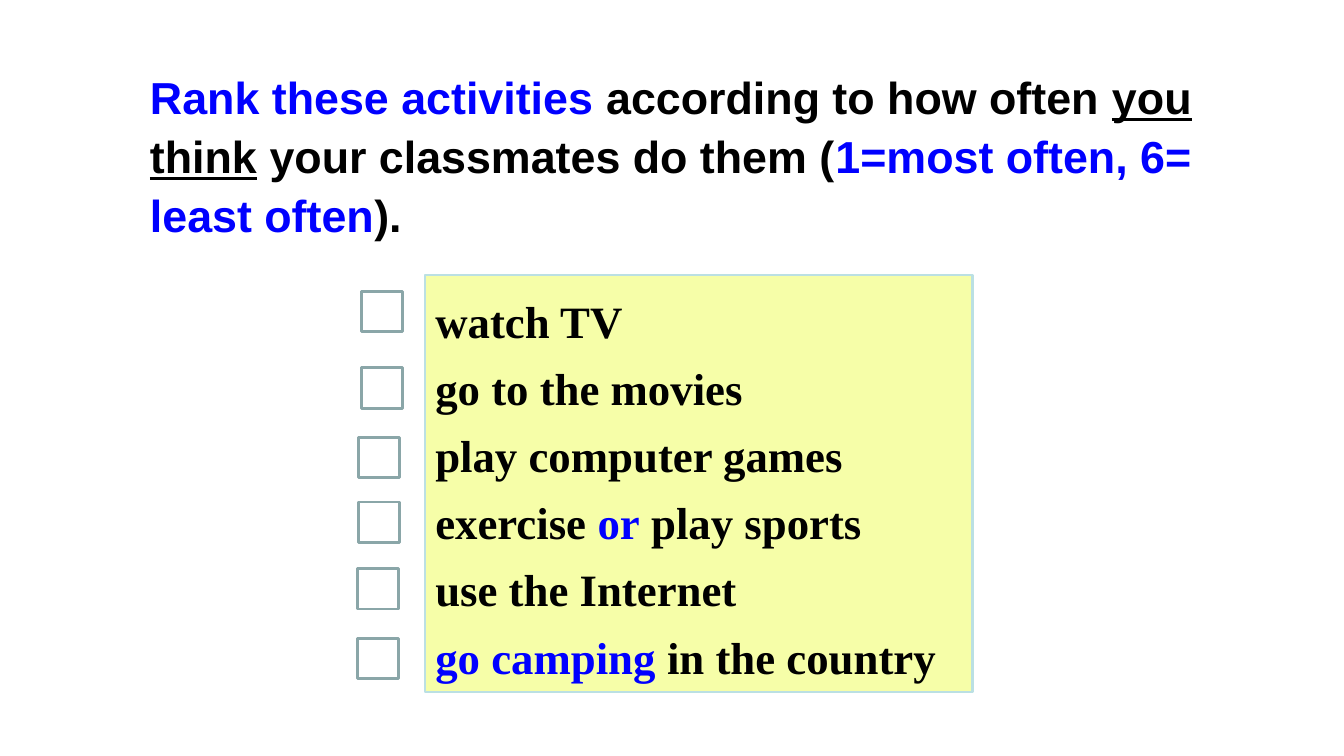
import pptx
import pptx.util
import pptx.dml.color
import pptx.enum.shapes
import pptx.enum.text

Cm = pptx.util.Cm
Pt = pptx.util.Pt
RGBColor = pptx.dml.color.RGBColor

BLACK = RGBColor(0x00, 0x00, 0x00)
BLUE = RGBColor(0x00, 0x00, 0xFF)
PALE_YELLOW = RGBColor(0xF6, 0xFE, 0xA8)
PALE_TEAL = RGBColor(0xBB, 0xE0, 0xE3)
GREY_TEAL = RGBColor(0x8A, 0xA6, 0xA8)

INSTRUCTION = [[
    ("Rank these activities", BLUE, False),
    (" according to how often ", BLACK, False),
    ("you think", BLACK, True),
    (" your classmates do them (", BLACK, False),
    ("1=most often, 6= least often", BLUE, False),
    (").", BLACK, False),
]]
ACTIVITIES = [
    [("watch TV", BLACK, False)],
    [("go to the movies", BLACK, False)],
    [("play computer games", BLACK, False)],
    [("exercise ", BLACK, False), ("or", BLUE, False), (" play sports", BLACK, False)],
    [("use the Internet", BLACK, False)],
    [("go camping", BLUE, False), (" in the country", BLACK, False)],
]
CHECKBOX_CORNERS = [
    (9.12, 7.34), (9.12, 9.27), (9.04, 11.02),
    (9.04, 12.65), (9.02, 14.33), (9.02, 16.08),
]
CHECKBOX_SIZE = 1.02


class SlideBuilder:
    def __init__(self, page):
        self.page = page
        self.text_format = {"size": Pt(32), "bold": True}

    def add_text(self, box, paragraphs, font_name, line_spacing):
        """Fill a box with paragraphs of (text, colour, underline) spans."""
        frame = box.text_frame
        frame.word_wrap = True
        frame.vertical_anchor = pptx.enum.text.MSO_ANCHOR.TOP
        for index, spans in enumerate(paragraphs):
            para = frame.add_paragraph() if index else frame.paragraphs[0]
            para.alignment = pptx.enum.text.PP_ALIGN.LEFT
            para.line_spacing = line_spacing
            for text, color, underline in spans:
                span = para.add_run()
                span.text = text
                span.font.color.rgb = color
                values = {**self.text_format, "name": font_name, "underline": underline}
                for name, value in values.items():
                    setattr(span.font, name, value)

    def text_box(self, left, top, width, height):
        return self.page.shapes.add_textbox(Cm(left), Cm(top), Cm(width), Cm(height))

    def rectangle(self, left, top, width, height, line_color, line_width, fill=None):
        box = self.page.shapes.add_shape(
            pptx.enum.shapes.MSO_SHAPE.RECTANGLE,
            Cm(left), Cm(top), Cm(width), Cm(height))
        box.shadow.inherit = False
        box.line.color.rgb = line_color
        box.line.width = Pt(line_width)
        if fill is None:
            box.fill.background()
        else:
            box.fill.solid()
            box.fill.fore_color.rgb = fill
        return box


def main():
    deck = pptx.Presentation()
    deck.slide_width, deck.slide_height = Cm(33.87), Cm(19.05)
    builder = SlideBuilder(deck.slides.add_slide(deck.slide_layouts[6]))

    heading = builder.text_box(3.53, 1.5, 29.4, 4.78)
    builder.add_text(heading, INSTRUCTION, "Arial", 1.1)

    panel = builder.rectangle(10.72, 6.93, 13.79, 10.52, PALE_TEAL, 1.5, PALE_YELLOW)
    builder.add_text(panel, ACTIVITIES, "Times New Roman", 1.25)

    for left, top in CHECKBOX_CORNERS:
        builder.rectangle(left, top, CHECKBOX_SIZE, CHECKBOX_SIZE, GREY_TEAL, 2)

    deck.save("out.pptx")


if __name__ == "__main__":
    main()
